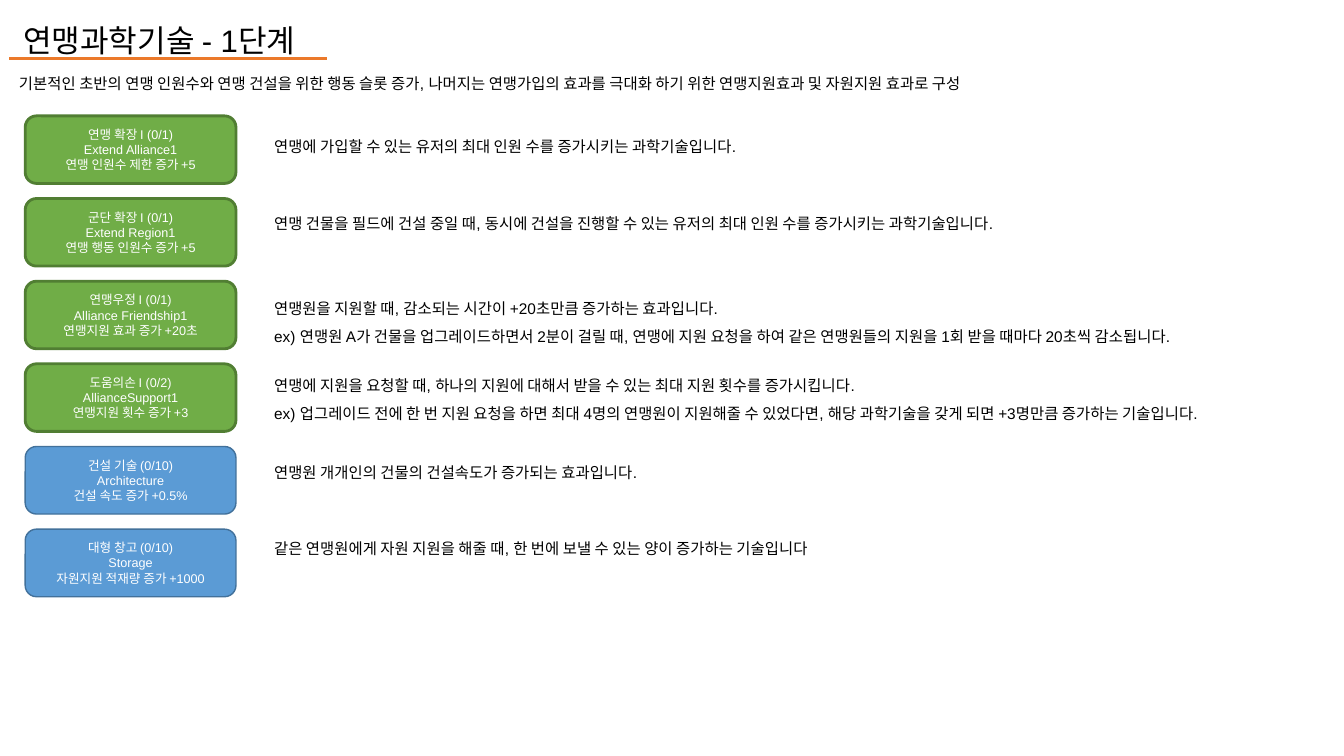
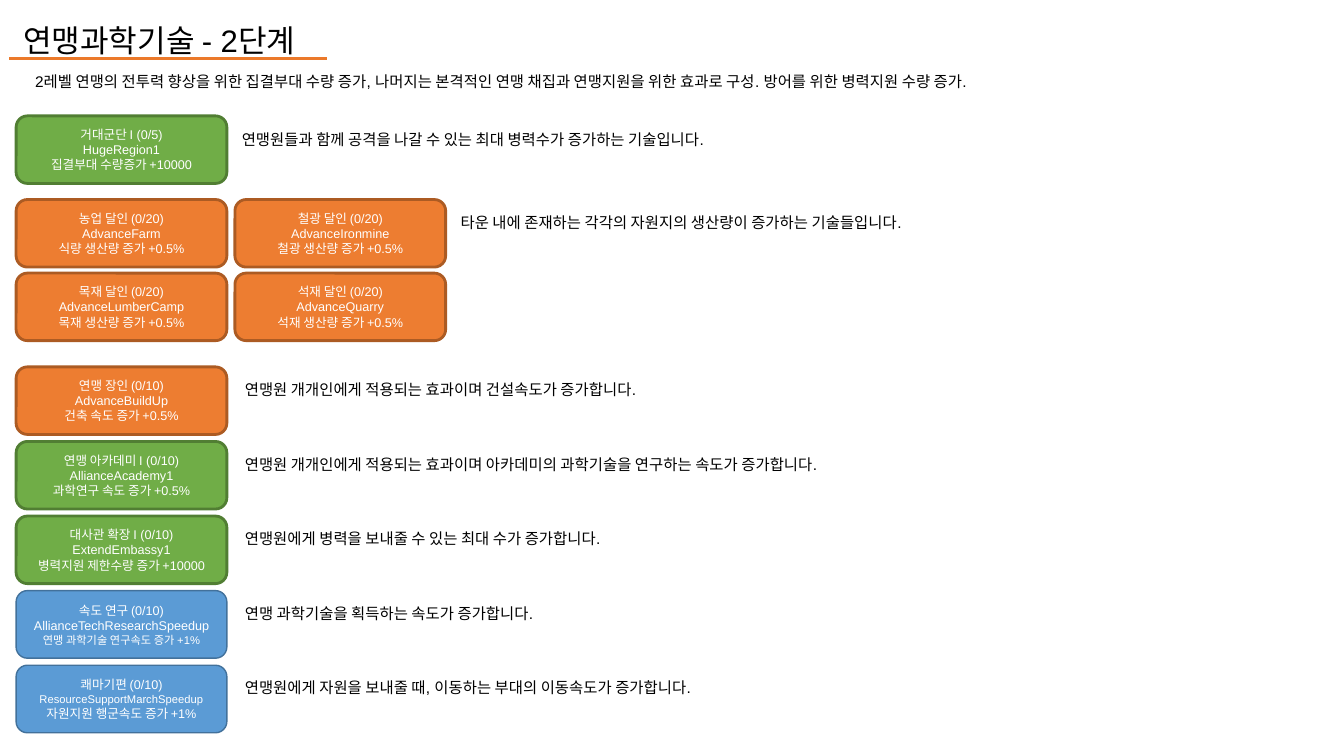
from dataclasses import dataclass
from typing import Sequence

from lxml import etree
from pptx import Presentation
from pptx import slide as sl
from pptx import util as u
from pptx.dml import color
from pptx.enum import shapes, text
from pptx.oxml import ns
from pptx.text import text as tx


@dataclass(frozen=True)
class CardStyle:
    """Fill, outline and outline width of a technology card."""
    fill: str
    line: str
    line_width: float


@dataclass(frozen=True)
class Theme:
    """Colours, type sizes and shared measures of the deck."""
    font: str = "Arial"
    ink: str = "000000"
    card_ink: str = "FFFFFF"
    accent: str = "EB792A"
    title_size: float = 22.2
    body_size: float = 11
    card_size: float = 9
    small_size: float = 8
    title_spacing: float = 1.4
    note_spacing: float = 1.5
    rule_width: float = 1.5
    card_width: float = 2.09
    card_height: float = 0.67
    green: CardStyle = CardStyle("70AD47", "517E33", 2)
    blue: CardStyle = CardStyle("5B9BD5", "42719B", 1)
    orange: CardStyle = CardStyle("ED7D31", "AC5B23", 2)


@dataclass(frozen=True)
class Card:
    """A technology: name with level, key and effect."""
    left: float
    top: float
    style: CardStyle
    lines: tuple[str, str, str]
    small_line: int | None = None


@dataclass(frozen=True)
class Note:
    """An explanation; a newline inside a paragraph is a line break."""
    left: float
    top: float
    width: float
    height: float
    paragraphs: tuple[str, ...]


@dataclass(frozen=True)
class Stage:
    """Everything on one slide."""
    title: str
    intro: Note
    cards: Sequence[Card]
    notes: Sequence[Note]


THEME = Theme()
GREEN, BLUE, ORANGE = THEME.green, THEME.blue, THEME.orange


def rgb(value: str) -> color.RGBColor:
    """Turn a hex string into a colour."""
    return color.RGBColor.from_string(value)


def add_run(paragraph: tx._Paragraph, content: str, size: float, ink: str) -> None:
    """Add one formatted run."""
    run = paragraph.add_run()
    run.text = content
    run.font.name = THEME.font
    run.font.size = u.Pt(size)
    run.font.color.rgb = rgb(ink)


def next_paragraph(frame: tx.TextFrame, index: int) -> tx._Paragraph:
    """Return the first paragraph, or add a further one."""
    return frame.paragraphs[0] if index == 0 else frame.add_paragraph()


def add_title(slide: sl.Slide, title: str) -> None:
    """Fill the title placeholder and underline it."""
    shape = slide.shapes.title
    shape.left, shape.top = u.Inches(0.13), u.Inches(0.01)
    shape.width, shape.height = u.Inches(7.86), u.Inches(0.64)
    frame = shape.text_frame
    frame.auto_size = text.MSO_AUTO_SIZE.NONE
    frame.vertical_anchor = text.MSO_ANCHOR.TOP
    frame.word_wrap = True
    paragraph = frame.paragraphs[0]
    paragraph.alignment = text.PP_ALIGN.LEFT
    paragraph.line_spacing = THEME.title_spacing
    add_run(paragraph, title, THEME.title_size, THEME.ink)

    height = u.Inches(0.58)
    rule = slide.shapes.add_connector(
        shapes.MSO_CONNECTOR.STRAIGHT, u.Inches(0.09), height, u.Inches(3.24), height)
    rule.line.color.rgb = rgb(THEME.accent)
    rule.line.width = u.Pt(THEME.rule_width)
    etree.SubElement(rule._element.spPr, ns.qn("a:effectLst"))


def add_card(slide: sl.Slide, card: Card) -> None:
    """Draw a rounded technology card."""
    shape = slide.shapes.add_shape(
        shapes.MSO_SHAPE.ROUNDED_RECTANGLE, u.Inches(card.left), u.Inches(card.top),
        u.Inches(THEME.card_width), u.Inches(THEME.card_height))
    shape.shadow.inherit = False
    shape.fill.solid()
    shape.fill.fore_color.rgb = rgb(card.style.fill)
    shape.line.color.rgb = rgb(card.style.line)
    shape.line.width = u.Pt(card.style.line_width)
    frame = shape.text_frame
    frame.word_wrap = True
    frame.vertical_anchor = text.MSO_ANCHOR.MIDDLE
    for index, line in enumerate(card.lines):
        paragraph = next_paragraph(frame, index)
        paragraph.alignment = text.PP_ALIGN.CENTER
        size = THEME.small_size if index == card.small_line else THEME.card_size
        add_run(paragraph, line, size, THEME.card_ink)


def add_note(slide: sl.Slide, note: Note, spacing: float) -> None:
    """Write an explanation in a text box."""
    box = slide.shapes.add_textbox(
        u.Inches(note.left), u.Inches(note.top), u.Inches(note.width), u.Inches(note.height))
    frame = box.text_frame
    frame.word_wrap = True
    for index, content in enumerate(note.paragraphs):
        paragraph = next_paragraph(frame, index)
        paragraph.line_spacing = spacing
        for number, line in enumerate(content.split("\n")):
            if number:
                paragraph.add_line_break()
            add_run(paragraph, line, THEME.body_size, THEME.ink)


def add_stage(presentation, stage: Stage) -> None:
    """Add the slide of one stage."""
    slide = presentation.slides.add_slide(presentation.slide_layouts.get_by_name("Title Only"))
    add_title(slide, stage.title)
    add_note(slide, stage.intro, 1.0)
    for card in stage.cards:
        add_card(slide, card)
    for note in stage.notes:
        add_note(slide, note, THEME.note_spacing)


def first_stage() -> Stage:
    """Describe stage 1: one evenly spaced column of cards."""
    technologies = [
        (GREEN, ("연맹 확장 I (0/1)", "Extend Alliance1", "연맹 인원수 제한 증가 +5")),
        (GREEN, ("군단 확장 I (0/1)", "Extend Region1", "연맹 행동 인원수 증가 +5")),
        (GREEN, ("연맹우정 I (0/1)", "Alliance Friendship1", "연맹지원 효과 증가 +20초")),
        (GREEN, ("도움의손 I (0/2)", "AllianceSupport1", "연맹지원 횟수 증가 +3")),
        (BLUE, ("건설 기술 (0/10)", "Architecture", "건설 속도 증가 +0.5%")),
        (BLUE, ("대형 창고 (0/10)", "Storage", "자원지원 적재량 증가 +1000")),
    ]
    explanations = [
        (1.22, 0.29, ("연맹에 가입할 수 있는 유저의 최대 인원 수를 증가시키는 과학기술입니다.",)),
        (1.98, 0.29, ("연맹 건물을 필드에 건설 중일 때, 동시에 건설을 진행할 수 있는 "
                      "유저의 최대 인원 수를 증가시키는 과학기술입니다.",)),
        (2.83, 0.62, ("연맹원을 지원할 때, 감소되는 시간이 +20초만큼 증가하는 효과입니다.",
                      "ex) 연맹원 A가 건물을 업그레이드하면서 2분이 걸릴 때, 연맹에 지원 요청을 "
                      "하여 같은 연맹원들의 지원을 1회 받을 때마다 20초씩 감소됩니다.")),
        (3.59, 0.62, ("연맹에 지원을 요청할 때, 하나의 지원에 대해서 받을 수 있는 "
                      "최대 지원 횟수를 증가시킵니다.\n"
                      "ex) 업그레이드 전에 한 번 지원 요청을 하면 최대 4명의 연맹원이 지원해줄 수 "
                      "있었다면, 해당 과학기술을 갖게 되면 +3명만큼 증가하는 기술입니다.",)),
        (4.45, 0.62, ("연맹원 개개인의 건물의 건설속도가 증가되는 효과입니다.",)),
        (5.21, 0.62, ("같은 연맹원에게 자원 지원을 해줄 때, 한 번에 보낼 수 있는 양이 "
                      "증가하는 기술입니다",)),
    ]
    intro = ("기본적인 초반의 연맹 인원수와 연맹 건설을 위한 행동 슬롯 증가, 나머지는 연맹가입의 "
             "효과를 극대화 하기 위한 연맹지원효과 및 자원지원 효과로 구성")
    return Stage(
        "연맹과학기술 - 1단계",
        Note(0.09, 0.69, 10.73, 0.29, (intro,)),
        [Card(0.25, 1.15 + 0.82 * row, style, lines)
         for row, (style, lines) in enumerate(technologies)],
        [Note(2.62, top, 10.71, height, paragraphs)
         for top, height, paragraphs in explanations],
    )


def second_stage() -> Stage:
    """Describe stage 2: a lead card, a resource grid and a column."""
    left, note_height = 0.16, 0.65
    resources = [("농업", "Farm", "식량"), ("철광", "Ironmine", "철광"),
                 ("목재", "LumberCamp", "목재"), ("석재", "Quarry", "석재")]
    technologies = [
        (ORANGE, ("연맹 장인 (0/10)", "AdvanceBuildUp", "건축 속도 증가 +0.5%"), None,
         "연맹원 개개인에게 적용되는 효과이며 건설속도가 증가합니다."),
        (GREEN, ("연맹 아카데미 I (0/10)", "AllianceAcademy1", "과학연구 속도 증가 +0.5%"), None,
         "연맹원 개개인에게 적용되는 효과이며 아카데미의 과학기술을 연구하는 속도가 증가합니다."),
        (GREEN, ("대사관 확장 I (0/10)", "ExtendEmbassy1", "병력지원 제한수량 증가 +10000"), None,
         "연맹원에게 병력을 보내줄 수 있는 최대 수가 증가합니다."),
        (BLUE, ("속도 연구 (0/10)", "AllianceTechResearchSpeedup",
                "연맹 과학기술 연구속도 증가 +1%"), 2,
         "연맹 과학기술을 획득하는 속도가 증가합니다."),
        (BLUE, ("쾌마기편 (0/10)", "ResourceSupportMarchSpeedup",
                "자원지원 행군속도 증가 +1%"), 1,
         "연맹원에게 자원을 보내줄 때, 이동하는 부대의 이동속도가 증가합니다."),
    ]
    cards = [Card(left, 1.15, GREEN,
                  ("거대군단 I (0/5)", "HugeRegion1", "집결부대 수량증가 +10000"))]
    notes = [
        Note(2.3, 1.15, 10.73, note_height,
             ("연맹원들과 함께 공격을 나갈 수 있는 최대 병력수가 증가하는 기술입니다.",)),
        Note(4.47, 1.97, 8.86, note_height,
             ("타운 내에 존재하는 각각의 자원지의 생산량이 증가하는 기술들입니다.",)),
    ]
    for index, (trade, key, product) in enumerate(resources):
        row, column = divmod(index, 2)
        cards.append(Card(left + 2.17 * column, 1.98 + 0.73 * row, ORANGE,
                          (f"{trade} 달인 (0/20)", f"Advance{key}", f"{product} 생산량 증가 +0.5%")))
    for row, (style, lines, small_line, explanation) in enumerate(technologies):
        top = 3.64 + 0.74 * row
        cards.append(Card(left, top, style, lines, small_line))
        notes.append(Note(2.33, top - 0.01, 8.86, note_height, (explanation,)))
    intro = ("2레벨 연맹의 전투력 향상을 위한 집결부대 수량 증가, 나머지는 본격적인 연맹 채집과 "
             "연맹지원을 위한 효과로 구성. 방어를 위한 병력지원 수량 증가.")
    return Stage("연맹과학기술 - 2단계", Note(0.25, 0.67, 10.54, 0.29, (intro,)), cards, notes)


def main() -> None:
    """Build and save the deck."""
    presentation = Presentation()
    presentation.slide_width = u.Inches(13.33)
    presentation.slide_height = u.Inches(7.5)
    for stage in (first_stage(), second_stage()):
        add_stage(presentation, stage)
    presentation.save("out.pptx")


main()
